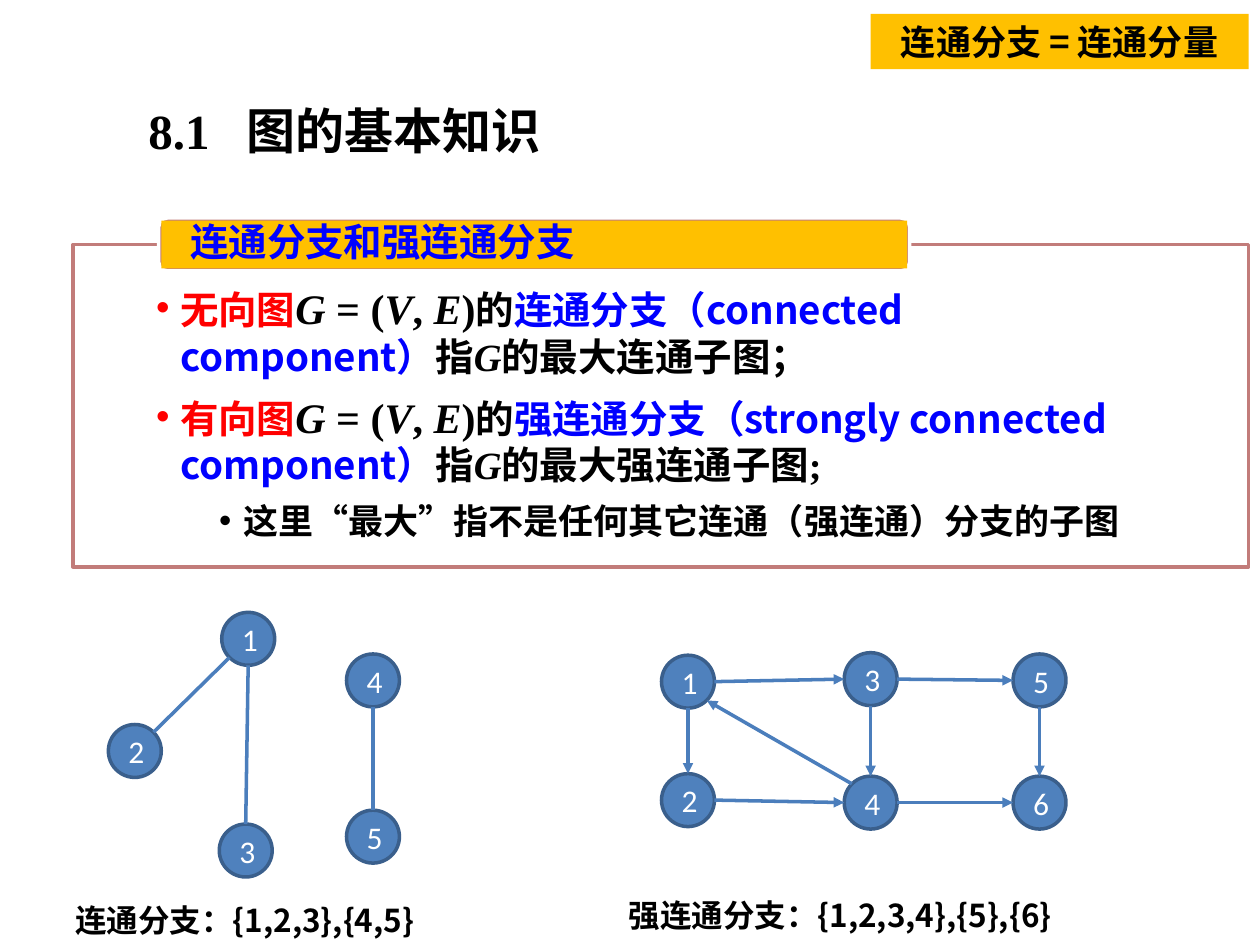
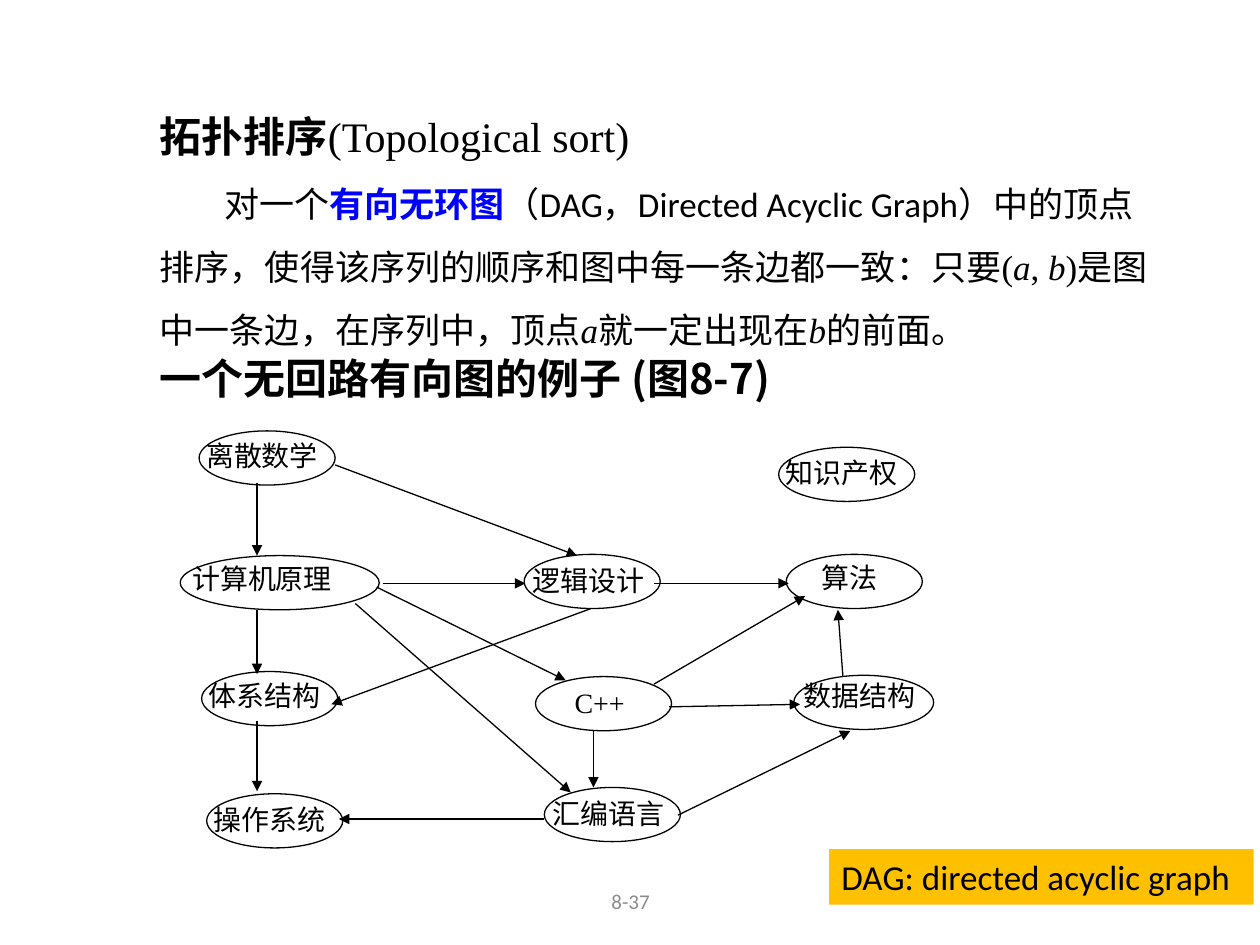
import pptx
import pptx.util
import pptx.dml.color
import pptx.enum.shapes
import pptx.enum.text
import pptx.oxml.ns
from lxml import etree

Pt = pptx.util.Pt
MSO = pptx.enum.shapes.MSO_SHAPE
STRAIGHT = pptx.enum.shapes.MSO_CONNECTOR.STRAIGHT
CENTER = pptx.enum.text.PP_ALIGN.CENTER
MIDDLE = pptx.enum.text.MSO_ANCHOR.MIDDLE
rgb = pptx.dml.color.RGBColor.from_string
qn = pptx.oxml.ns.qn

SERIF, SANS, CJK = "Times New Roman", "Calibri", "Noto Sans CJK SC"
BLACK, WHITE, GREY, RED, BLUE = "000000", "FFFFFF", "8C8C8C", "FF0000", "0000FF"
AMBER, ROSE = "FFC000", "C27C7A"
NODE, NODE_EDGE, ARC = "4F81BD", "3A5F8C", "4B7EBC"

prs = pptx.Presentation()
prs.slide_width = pptx.util.Inches(10)
prs.slide_height = pptx.util.Inches(7.5)
# All places are given on a grid of 100 columns by 75 rows.
col = prs.slide_width / 100
row = prs.slide_height / 75


def box(s, kind, at, paras=(), fill=None, line=None, weight=2,
        align=None, anchor=None, insets=(1, 0.5, 1, 0.5)):
    """Add a preset shape, or a text box if kind is None.

    Each paragraph is a list of runs (text, font, size, colour, style),
    where style holds "b" for bold and "i" for italic.
    """
    x, y, w, h = at
    place = [int(v) for v in (x * col, y * row, w * col, h * row)]
    if kind is None:
        sp = s.shapes.add_textbox(*place)
    else:
        sp = s.shapes.add_shape(kind, *place)
        sp.shadow.inherit = False
        if fill:
            sp.fill.solid()
            sp.fill.fore_color.rgb = rgb(fill)
        else:
            sp.fill.background()
        if line:
            sp.line.color.rgb = rgb(line)
            sp.line.width = Pt(weight)
        else:
            sp.line.fill.background()
    tf = sp.text_frame
    tf.word_wrap = True
    tf.vertical_anchor = anchor or pptx.enum.text.MSO_ANCHOR.TOP
    left, top, right, bottom = insets
    tf.margin_left, tf.margin_right = int(left * col), int(right * col)
    tf.margin_top, tf.margin_bottom = int(top * row), int(bottom * row)
    for n, runs in enumerate(paras):
        p = tf.add_paragraph() if n else tf.paragraphs[0]
        p.alignment = align or pptx.enum.text.PP_ALIGN.LEFT
        for text, font, size, color, style in runs:
            r = p.add_run()
            r.text = text
            r.font.name, r.font.size = font, Pt(size)
            r.font.bold, r.font.italic = "b" in style, "i" in style
            r.font.color.rgb = rgb(color)
            etree.SubElement(r.font._element, qn("a:ea"), typeface=CJK)
    return sp


def link(s, start, end, color, weight, arrow=True):
    """Join two grid points with a straight line."""
    points = [int(v) for x, y in (start, end) for v in (x * col, y * row)]
    cx = s.shapes.add_connector(STRAIGHT, *points)
    cx.line.color.rgb = rgb(color)
    cx.line.width = Pt(weight)
    if arrow:
        etree.SubElement(cx.line._get_or_add_ln(), qn("a:tailEnd"), type="triangle")
    etree.SubElement(cx._element.spPr, qn("a:effectLst"))


# Slide 1: connected components
s = prs.slides.add_slide(prs.slide_layouts[6])
sp = box(s, None, (10.8, 7.5, 81.7, 9.8),
         [[("8.1\t", SERIF, 28, BLACK, "b"), ("图的基本知识", CJK, 28, BLACK, "b")]])
tabs = etree.SubElement(sp.text_frame.paragraphs[0]._p.get_or_add_pPr(), qn("a:tabLst"))
etree.SubElement(tabs, qn("a:tab"), pos=str(int(7.8 * col)), algn="l")

definitions = []
for graph, term, closing in [
    ("无向图", "连通分支（connected component）", "的最大连通子图；"),
    ("有向图", "强连通分支（strongly connected component）", "的最大强连通子图;"),
]:
    definitions.append([
        (graph, SERIF, 22, RED, "b"),
        ("G", SERIF, 24, BLACK, "bi"),
        (" = (", SERIF, 24, BLACK, "b"),
        ("V", SERIF, 24, BLACK, "bi"),
        (", ", SERIF, 24, BLACK, "b"),
        ("E", SERIF, 24, BLACK, "bi"),
        (")", SERIF, 24, BLACK, "b"),
        ("的", SERIF, 22, BLACK, "b"),
        (term, CJK, 22, BLUE, "b"),
        ("指", SERIF, 22, BLACK, "b"),
        ("G", SERIF, 22, BLACK, "bi"),
        (closing, SERIF, 22, BLACK, "b"),
    ])
remark = [("这里“最大”指不是任何其它连通（强连通）分支的子图", SERIF, 20, BLACK, "b")]
sp = box(s, MSO.RECTANGLE, (5.8, 19.4, 93.3, 25.6), definitions + [remark],
         fill=WHITE, line=ROSE, insets=(6.6, 3, 6.6, 1.4))
for p, level, indent in zip(sp.text_frame.paragraphs, (1, 1, 2), (1.9, 1.9, 6.9)):
    p.level = level
    p.space_before, p.space_after = Pt(6), Pt(1)
    pPr = p._p.get_or_add_pPr()
    pPr.set("marL", str(int(indent * col)))
    pPr.set("indent", str(int(-1.9 * col)))
    etree.SubElement(pPr, qn("a:buFont"), typeface="Arial")
    etree.SubElement(pPr, qn("a:buChar"), char="•")

box(s, MSO.ROUNDED_RECTANGLE, (12.6, 17.3, 59.6, 4.2), fill=ROSE, line=WHITE)
sp = box(s, MSO.RECTANGLE, (12.8, 17.5, 59.2, 3.8),
         [[("连通分支和强连通分支", CJK, 22, BLUE, "b")]],
         fill=AMBER, anchor=MIDDLE, insets=(2.3, 0, 2.3, 0))
sp.text_frame.paragraphs[0].line_spacing = 0.9

# Nodes by centre; edges as (from, side, to, side)
radius = 2.1
diagonal = 0.71
sides = {"N": (0, -1), "S": (0, 1), "W": (-1, 0), "E": (1, 0),
         "NW": (-diagonal, -diagonal), "NE": (diagonal, -diagonal),
         "SW": (-diagonal, diagonal), "SE": (diagonal, diagonal)}
undirected = (
    {1: (19.7, 50.7), 2: (10.7, 59.6), 3: (19.5, 67.5), 4: (29.6, 54), 5: (29.6, 66.4)},
    [(1, "SW", 2, "NE"), (1, "S", 3, "N"), (4, "S", 5, "N")], False)
directed = (
    {1: (54.6, 54.1), 2: (54.6, 63.5), 3: (69.1, 53.9),
     4: (69.1, 63.7), 5: (82.5, 54), 6: (82.5, 63.7)},
    [(1, "E", 3, "W"), (3, "E", 5, "W"), (3, "S", 4, "N"), (5, "S", 6, "N"),
     (4, "E", 6, "W"), (4, "NW", 1, "SE"), (1, "S", 2, "N"), (2, "E", 4, "W")], True)
for nodes, edges, arrow in (undirected, directed):
    for number, (x, y) in nodes.items():
        box(s, MSO.OVAL, (x - radius, y - radius, 2 * radius, 2 * radius),
            [[(str(number), SANS, 18, WHITE, "")]],
            fill=NODE, line=NODE_EDGE, align=CENTER, anchor=MIDDLE)
    for a, side_a, b, side_b in edges:
        start, end = [
            [c + radius * d for c, d in zip(nodes[n], sides[side])]
            for n, side in ((a, side_a), (b, side_b))
        ]
        link(s, start, end, ARC, 2, arrow)

for at, caption in [((5, 71, 32.5, 4), "连通分支：{1,2,3},{4,5}"),
                    ((48.9, 70.6, 40.5, 4), "强连通分支：{1,2,3,4},{5},{6}")]:
    box(s, None, at, [[(caption, CJK, 18, BLACK, "b")]])
box(s, MSO.RECTANGLE, (69.1, 1.1, 30, 4.4),
    [[("连通分支 = 连通分量", CJK, 20, BLACK, "b")]], fill=AMBER, align=CENTER)

# Slide 2: topological sort
s = prs.slides.add_slide(prs.slide_layouts[6])
box(s, None, (34.2, 69.5, 31.7, 4), [[("8-37", SANS, 12, GREY, "")]],
    align=CENTER, anchor=MIDDLE)
sp = box(s, None, (11.7, 8.3, 80.8, 20.1), [
    [("拓扑排序", SERIF, 24, BLACK, "b"), ("(Topological sort)", SERIF, 24, BLACK, "")],
    [
        ("对一个", SANS, 20, BLACK, ""),
        ("有向无环图", CJK, 20, BLUE, "b"),
        ("（DAG，Directed Acyclic Graph）中的顶点排序，"
         "使得该序列的顺序和图中每一条边都一致：只要", SANS, 20, BLACK, ""),
        ("(", SERIF, 20, BLACK, ""),
        ("a", SERIF, 20, BLACK, "i"),
        (", ", SERIF, 20, BLACK, ""),
        ("b", SERIF, 20, BLACK, "i"),
        (")", SERIF, 20, BLACK, ""),
        ("是图中一条边，在序列中，顶点", SANS, 20, BLACK, ""),
        ("a", SERIF, 20, BLACK, "i"),
        ("就一定出现在", SANS, 20, BLACK, ""),
        ("b", SERIF, 20, BLACK, "i"),
        ("的前面。", SANS, 20, BLACK, ""),
    ],
])
p = sp.text_frame.paragraphs[1]
p.line_spacing = 1.5
p._p.get_or_add_pPr().set("indent", str(int(5.1 * col)))
box(s, None, (11.7, 27.5, 76.7, 5),
    [[("一个无回路有向图的例子 (图8-7)", CJK, 24, BLACK, "b")]])

# Courses: left, top, width, then label centre and label drop within the oval
label_width = 14
for course, x, y, w, centre, drop in [
    ("离散数学", 15.8, 34.2, 10.8, 5, 0.1),
    ("计算机原理", 14.3, 44.1, 15.8, 6.5, 0),
    ("体系结构", 16, 53.3, 10.8, 5, 0.1),
    ("操作系统", 16.4, 63, 10.8, 5, 0.2),
    ("逻辑设计", 41.6, 44, 10.8, 5.1, 0.2),
    ("C++", 42.5, 53.7, 10.8, 5.1, 0.2),
    ("汇编语言", 43.2, 62.5, 10.8, 5.1, 0.2),
    ("知识产权", 61.8, 35.5, 10.8, 5, 0.2),
    ("算法", 62.4, 44, 10.8, 5, 0),
    ("数据结构", 63, 53.6, 11.1, 5.2, -0.2),
]:
    box(s, MSO.OVAL, (x, y, w, 4.3), line=BLACK, weight=0.75)
    box(s, None, (x + centre - label_width / 2, y + drop, label_width, 4.3),
        [[(course, SERIF, 16, BLACK, "")]], align=CENTER)

for start, end in [
    ((20.4, 38.3), (20.4, 44.1)),
    ((20.4, 48.4), (20.4, 53.5)),
    ((20.4, 57.2), (20.4, 62.8)),
    ((26.6, 36.9), (45.8, 44.1)),
    ((30.4, 46.3), (41.7, 46.3)),
    ((29.9, 46.6), (44.9, 54)),
    ((28.2, 47.9), (45.3, 62.9)),
    ((46.9, 48.3), (26.3, 55.9)),
    ((51.9, 46.3), (62.6, 46.3)),
    ((51.9, 54.3), (63.9, 47.3)),
    ((53.1, 56.1), (63.5, 55.9)),
    ((47.1, 58), (47.1, 62.5)),
    ((43.2, 65), (26.9, 65)),
    ((53.8, 64.7), (67.5, 58)),
    ((66.9, 53.7), (66.5, 48.4)),
]:
    link(s, start, end, BLACK, 0.75)

box(s, MSO.RECTANGLE, (65.8, 67.4, 33.7, 4.4),
    [[("DAG: directed acyclic graph", SANS, 20, BLACK, "")]], fill=AMBER)

prs.save("out.pptx")
